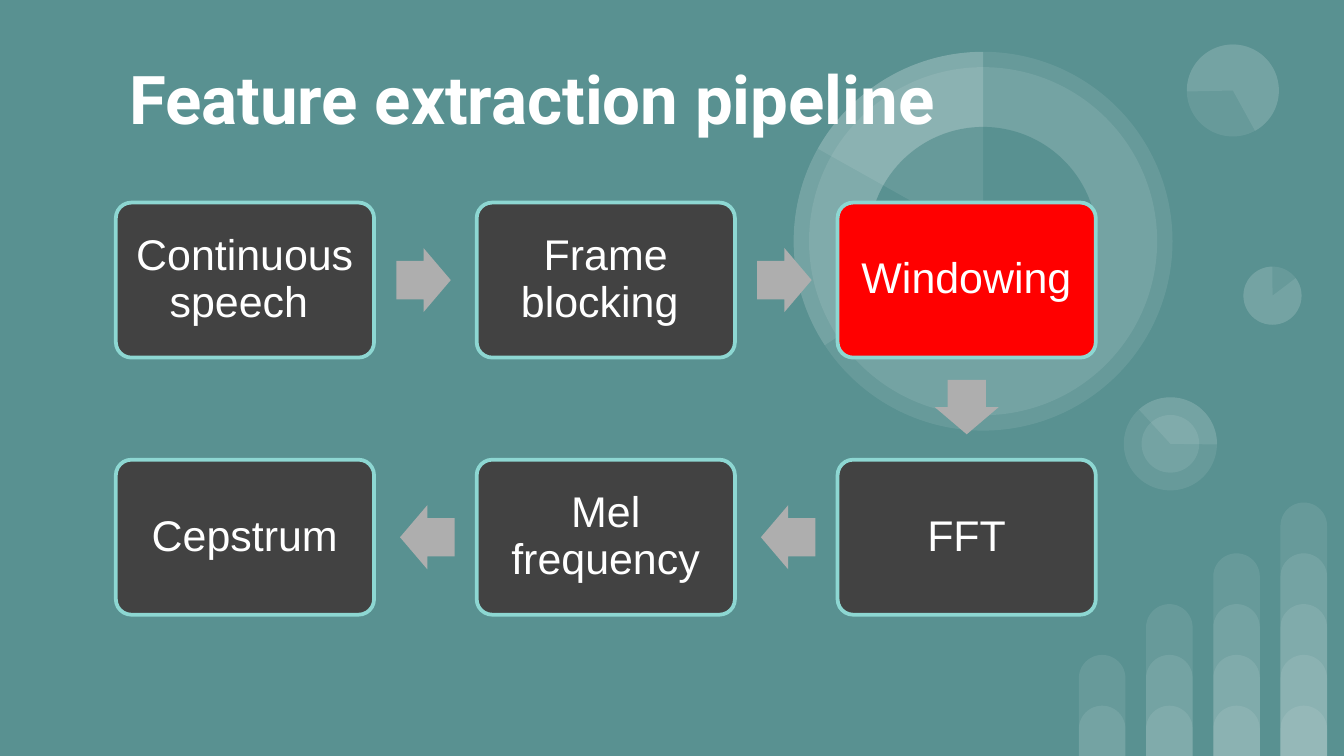
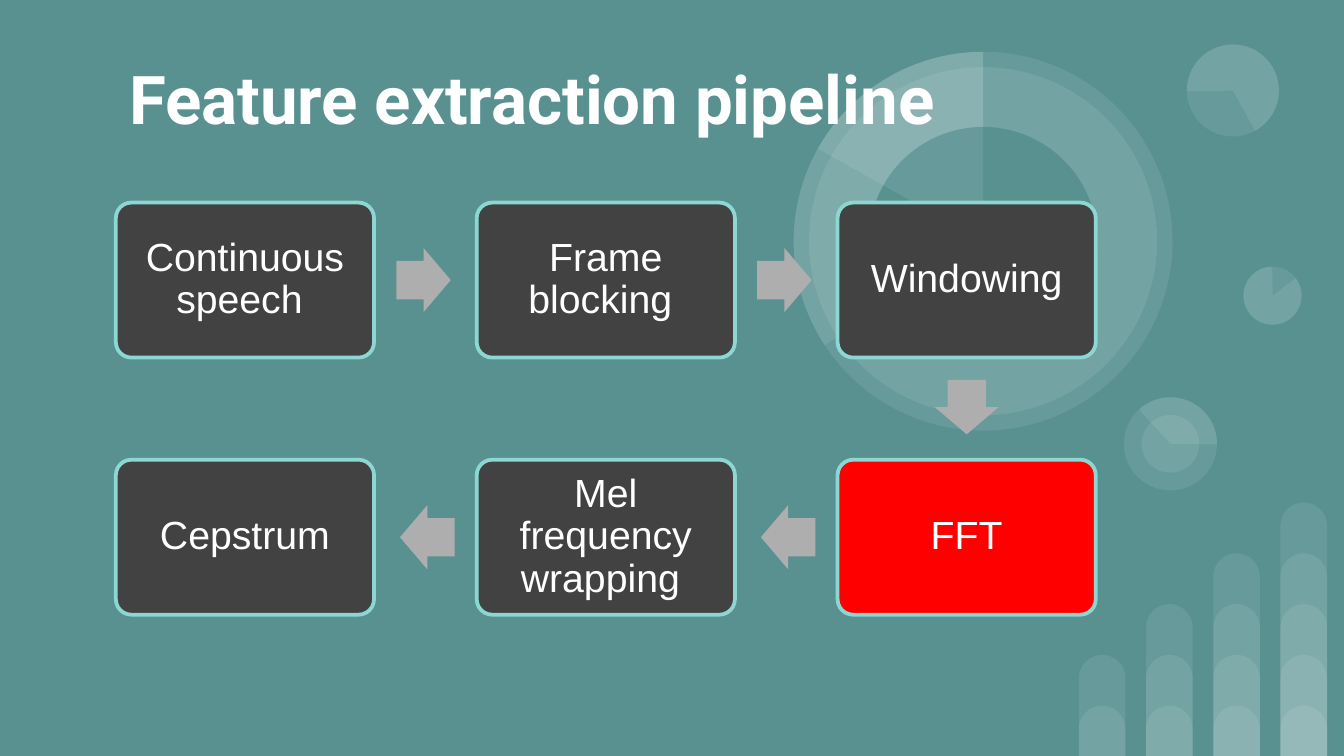
from math import atan2, cos, degrees, radians, sin

from lxml.etree import SubElement
from pptx import Presentation
from pptx.dml.color import RGBColor
from pptx.enum.shapes import MSO_SHAPE
from pptx.enum.text import MSO_ANCHOR, PP_ALIGN
from pptx.oxml.ns import qn
from pptx.util import Cm, Pt

TEAL, WHITE, CHARCOAL = "599191", "FFFFFF", "424242"
RED, MINT, GREY = "FF0000", "8DD7D2", "AEAEAE"
SLIDE_WIDTH, SLIDE_HEIGHT = 25.4, 14.29
GRID_LEFT, GRID_TOP = 2.19, 3.83
COLUMN_STEP, ROW_STEP = 6.82, 4.86
BOX_WIDTH, BOX_HEIGHT = 4.88, 2.93
ARROW_LENGTH, ARROW_HEIGHT, ARROW_GAP = 1.03, 1.21, 0.42
STEP_CELLS = [(0, 0), (1, 0), (2, 0), (2, 1), (1, 1), (0, 1)]

PIPELINES = [
    {
        "steps": ["Continuous speech ", "Frame blocking ", "Windowing",
                  "FFT", "Mel frequency", "Cepstrum"],
        "active": "Windowing", "size": 23, "inset": 0.25,
    },
    {
        "steps": ["Continuous speech ", "Frame blocking ", "Windowing",
                  "FFT", "Mel frequency wrapping ", "Cepstrum"],
        "active": "FFT", "size": 21, "inset": 0.23,
    },
]


def color(hex_string):
    """Turn a hex string into a colour."""
    return RGBColor.from_string(hex_string)


def add_shape(slide, kind, left, top, width, height, fill,
              line=None, alpha=None, rotation=0, adjustments=()):
    """Add a flat preset shape, with lengths in centimetres."""
    shape = slide.shapes.add_shape(kind, Cm(left), Cm(top), Cm(width), Cm(height))
    shape.shadow.inherit = False
    shape.rotation = rotation
    for index, value in enumerate(adjustments):
        shape.adjustments[index] = value
    shape.fill.solid()
    shape.fill.fore_color.rgb = color(fill)
    if alpha is not None:
        fill_color = shape._element.spPr.find(qn("a:solidFill")).find(qn("a:srgbClr"))
        SubElement(fill_color, qn("a:alpha"), val=str(alpha * 1000))
    if line:
        shape.line.color.rgb = color(line)
        shape.line.width = Pt(2)
    else:
        shape.line.fill.background()
    return shape


def write_text(shape, text, font="Arial", size=23, bold=False,
               align=PP_ALIGN.CENTER, spacing=1.0, inset=0.25):
    """Write one formatted, vertically centred paragraph in a shape."""
    frame = shape.text_frame
    frame.word_wrap = True
    frame.vertical_anchor = MSO_ANCHOR.MIDDLE
    frame.margin_left = frame.margin_right = Cm(inset)
    frame.margin_top = frame.margin_bottom = Cm(inset)
    paragraph = frame.paragraphs[0]
    paragraph.alignment = align
    paragraph.line_spacing = spacing
    run = paragraph.add_run()
    run.text = text
    run.font.name = font
    run.font.size = Pt(size)
    run.font.bold = bold
    run.font.color.rgb = color(WHITE)


def add_disc(slide, center, diameter, angles=None, rotation=0, fill=WHITE, alpha=9):
    """Add a circle, or the slice of it between two angles in degrees."""
    kind = MSO_SHAPE.PIE if angles else MSO_SHAPE.OVAL
    x, y = center
    add_shape(slide, kind, x - diameter / 2, y - diameter / 2, diameter, diameter,
              fill, alpha=alpha, rotation=rotation,
              adjustments=[angle * 0.6 for angle in angles or ()])


def add_bars(slide):
    """Add the translucent stacked bars in the lower right corner."""
    for column in range(4):
        for level in range(column + 2):
            height = 0.95 + 0.96 * level
            add_shape(slide, MSO_SHAPE.ROUND_2_SAME_RECTANGLE,
                      20.39 + 1.27 * column, SLIDE_HEIGHT - height, 0.88, height,
                      WHITE, alpha=9, adjustments=(0.5, 0))


def add_rings(slide):
    """Add the translucent pie and ring decorations."""
    small, medium, upper, large = (24.05, 5.59), (22.12, 8.39), (23.3, 1.71), (18.58, 4.56)
    add_disc(slide, small, 1.1)
    add_disc(slide, small, 1.1, angles=(322.95, 270))
    add_disc(slide, medium, 1.76)
    add_disc(slide, medium, 1.76, angles=(137.41, 270.77), rotation=90)
    add_disc(slide, medium, 1.09)
    add_disc(slide, upper, 1.74)
    add_disc(slide, upper, 1.74, angles=(322.95, 205.23), rotation=215.9)
    add_disc(slide, large, 7.16)
    add_disc(slide, large, 6.58)
    add_disc(slide, large, 7.16, angles=(146.69, 270))
    add_disc(slide, large, 4.32, fill=TEAL, alpha=None)
    add_disc(slide, large, 7.16, angles=(209.24, 270))


def add_title(slide, text):
    """Add the slide title."""
    title = slide.shapes.add_textbox(Cm(2.19), Cm(0.53), Cm(21.06), Cm(2.64))
    write_text(title, text, font="Roboto", size=36, bold=True, align=PP_ALIGN.LEFT)


def add_step(slide, cell, text, fill, size, inset):
    """Add one pipeline step in its grid cell."""
    column, row = cell
    box = add_shape(slide, MSO_SHAPE.ROUNDED_RECTANGLE,
                    GRID_LEFT + column * COLUMN_STEP, GRID_TOP + row * ROW_STEP,
                    BOX_WIDTH, BOX_HEIGHT, fill, line=MINT, adjustments=(0.1,))
    write_text(box, text, size=size, spacing=0.9, inset=inset)


def add_arrow(slide, start, end):
    """Add a block arrow just past the start cell, pointing to the end cell."""
    angle = degrees(atan2(end[1] - start[1], end[0] - start[0])) % 360
    reach = ARROW_GAP + ARROW_LENGTH / 2
    center_x = (GRID_LEFT + start[0] * COLUMN_STEP + BOX_WIDTH / 2
                + cos(radians(angle)) * (BOX_WIDTH / 2 + reach))
    center_y = (GRID_TOP + start[1] * ROW_STEP + BOX_HEIGHT / 2
                + sin(radians(angle)) * (BOX_HEIGHT / 2 + reach))
    add_shape(slide, MSO_SHAPE.RIGHT_ARROW,
              center_x - ARROW_LENGTH / 2, center_y - ARROW_HEIGHT / 2,
              ARROW_LENGTH, ARROW_HEIGHT, GREY, rotation=angle, adjustments=(0.6, 0.5))


def add_pipeline(slide, steps, active, size, inset):
    """Add the steps, with the active one in red, and the arrows between them."""
    for cell, text in zip(STEP_CELLS, steps):
        add_step(slide, cell, text, RED if text == active else CHARCOAL, size, inset)
    for start, end in zip(STEP_CELLS, STEP_CELLS[1:]):
        add_arrow(slide, start, end)


def main():
    """Build and save the presentation."""
    presentation = Presentation()
    presentation.slide_width = Cm(SLIDE_WIDTH)
    presentation.slide_height = Cm(SLIDE_HEIGHT)
    background = presentation.slide_master.background.fill
    background.solid()
    background.fore_color.rgb = color(TEAL)
    for pipeline in PIPELINES:
        slide = presentation.slides.add_slide(presentation.slide_layouts[6])
        add_bars(slide)
        add_rings(slide)
        add_title(slide, "Feature extraction pipeline")
        add_pipeline(slide, **pipeline)
    presentation.save("out.pptx")


if __name__ == "__main__":
    main()
